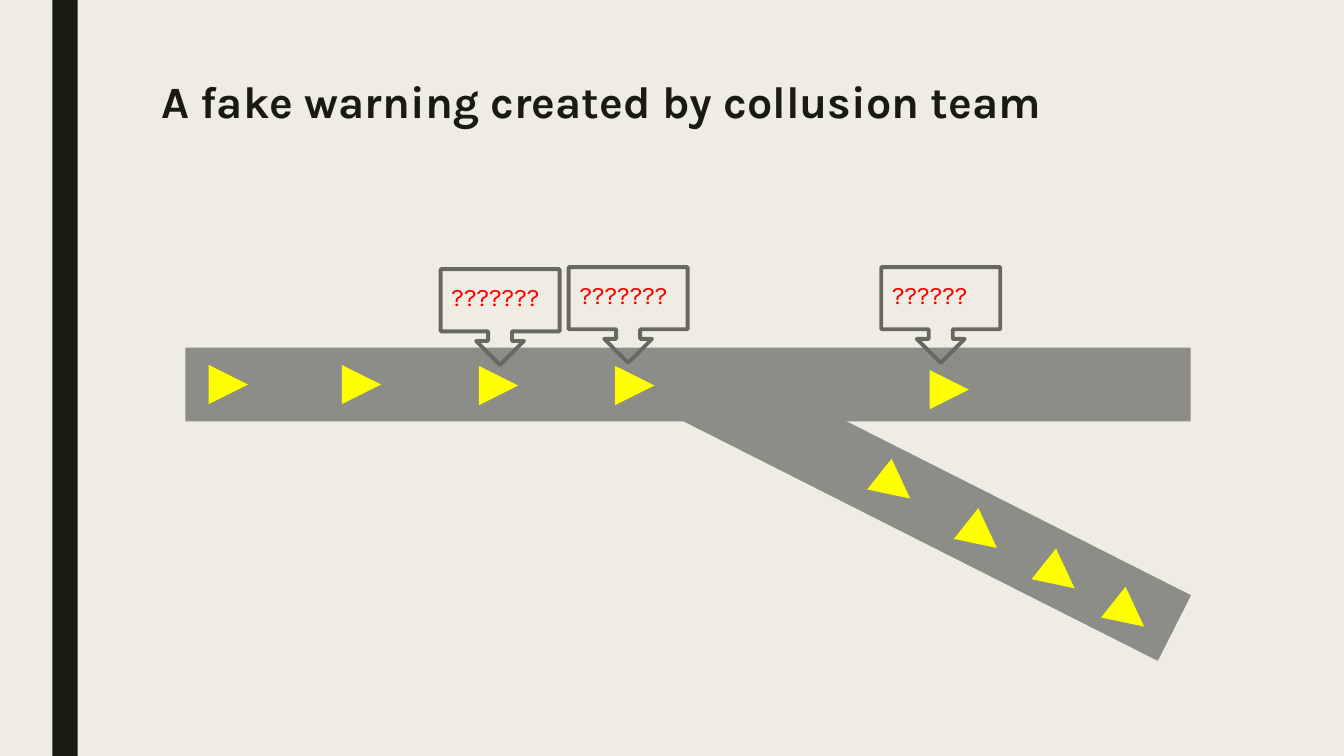
from pptx import Presentation
from pptx.dml.color import RGBColor
from pptx.enum.shapes import MSO_SHAPE
from pptx.enum.text import MSO_ANCHOR, MSO_AUTO_SIZE
from pptx.oxml.ns import qn
from pptx.util import Pt
from lxml.etree import SubElement

EMU_PER_PX = 9144
FONT = "Karla"
PAPER, INK = "EFEDE3", "191B0E"
ROAD, CAR = "8C8D86", "FFFF00"
BUBBLE_LINE, WARNING = "686863", "FF0000"
CAR_SIZE = 39

MAIN_ROAD_CARS = [(207, 362), (339, 362), (475, 363), (610, 363), (922, 367)]
SIDE_ROAD_CARS = [(868, 463), (954, 512), (1031, 552), (1100, 590)]
WARNINGS = [(874, 265, "??????"), (437, 267, "???????"), (564, 265, "???????")]


def px(length):
    return length * EMU_PER_PX


def color(hex_code):
    return RGBColor.from_string(hex_code)


def add_block(shapes, kind, left, top, width, height, fill, rotation=0):
    """Add a filled shape without an outline."""
    block = shapes.add_shape(kind, px(left), px(top), px(width), px(height))
    block.shadow.inherit = False
    block.rotation = rotation
    block.fill.solid()
    block.fill.fore_color.rgb = color(fill)
    block.line.fill.background()


def add_label(shapes, left, top, width, height, text, size, ink, bold=False):
    label = shapes.add_textbox(px(left), px(top), px(width), px(height))
    frame = label.text_frame
    frame.word_wrap = True
    frame.vertical_anchor = MSO_ANCHOR.TOP
    run = frame.paragraphs[0].add_run()
    run.text = text
    run.font.name = FONT
    run.font.size = Pt(size)
    run.font.bold = bold
    run.font.color.rgb = color(ink)
    return frame


def add_cars(shapes, positions, heading):
    for left, top in positions:
        add_block(shapes, MSO_SHAPE.ISOSCELES_TRIANGLE, left, top,
                  CAR_SIZE, CAR_SIZE, CAR, heading)


def add_warning(shapes, left, top, text):
    """Add a callout pointing down at a car, grouped with its text."""
    warning = shapes.add_group_shape().shapes
    bubble = warning.add_shape(MSO_SHAPE.DOWN_ARROW_CALLOUT,
                               px(left), px(top), px(118), px(95))
    bubble.shadow.inherit = False
    bubble.fill.background()
    bubble.line.color.rgb = color(BUBBLE_LINE)
    bubble.line.width = Pt(2.75)
    SubElement(bubble.element.spPr.find(qn("a:ln")), qn("a:round"))
    frame = add_label(warning, left + 1, top + 7, 130, 40, text, 18, WARNING)
    frame.auto_size = MSO_AUTO_SIZE.SHAPE_TO_FIT_TEXT


def main():
    deck = Presentation()
    deck.slide_width, deck.slide_height = px(1333), px(750)
    slide = deck.slides.add_slide(deck.slide_layouts[6])
    slide.background.fill.solid()
    slide.background.fill.fore_color.rgb = color(PAPER)
    shapes = slide.shapes

    add_block(shapes, MSO_SHAPE.RECTANGLE, 52, 0, 25, 750, INK)
    add_block(shapes, MSO_SHAPE.RECTANGLE, 184, 345, 997, 73, ROAD)
    add_block(shapes, MSO_SHAPE.RECTANGLE, 650, 464, 544, 73, ROAD, 26.8)
    add_cars(shapes, MAIN_ROAD_CARS, 90)
    add_cars(shapes, SIDE_ROAD_CARS, 128.5)
    for left, top, text in WARNINGS:
        add_warning(shapes, left, top, text)

    title = add_label(shapes, 150, 75, 1050, 78,
                      "A fake warning created by collusion team", 32, INK, True)
    title.paragraphs[0].line_spacing = 0.89

    deck.save("out.pptx")


if __name__ == "__main__":
    main()
